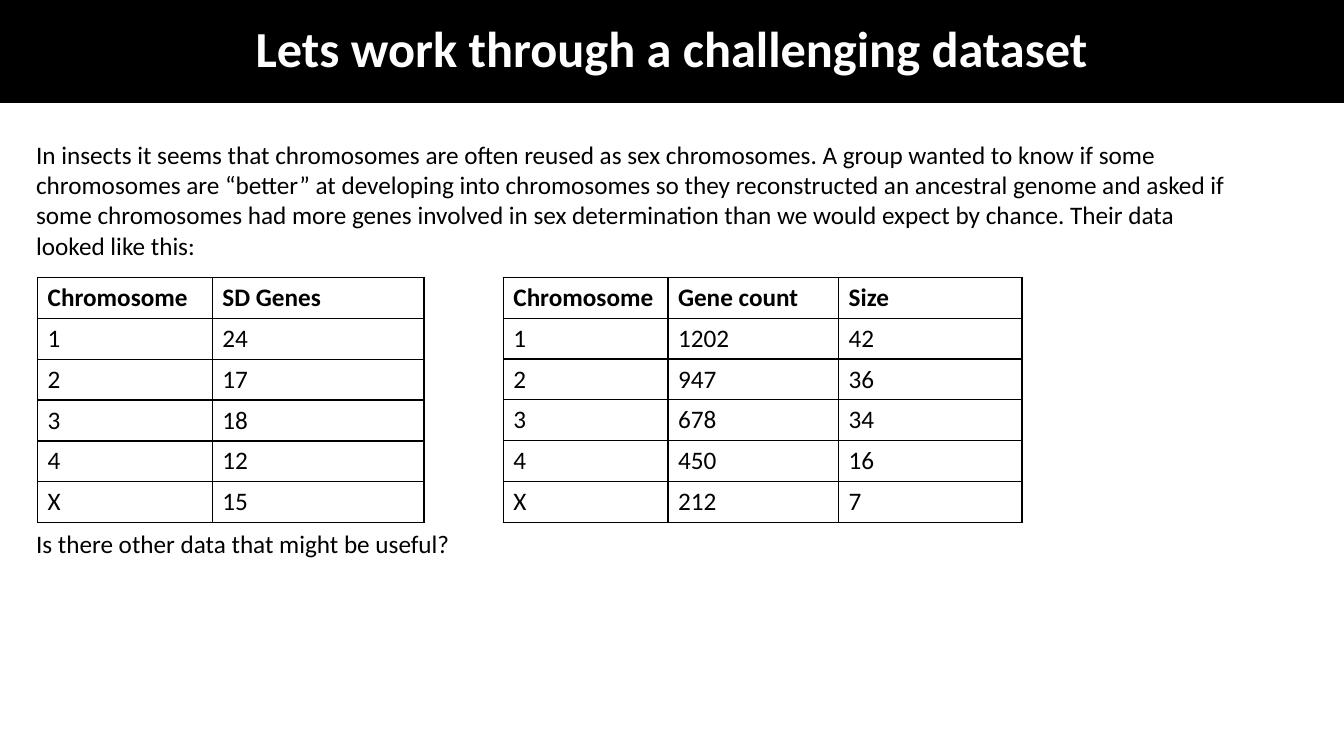
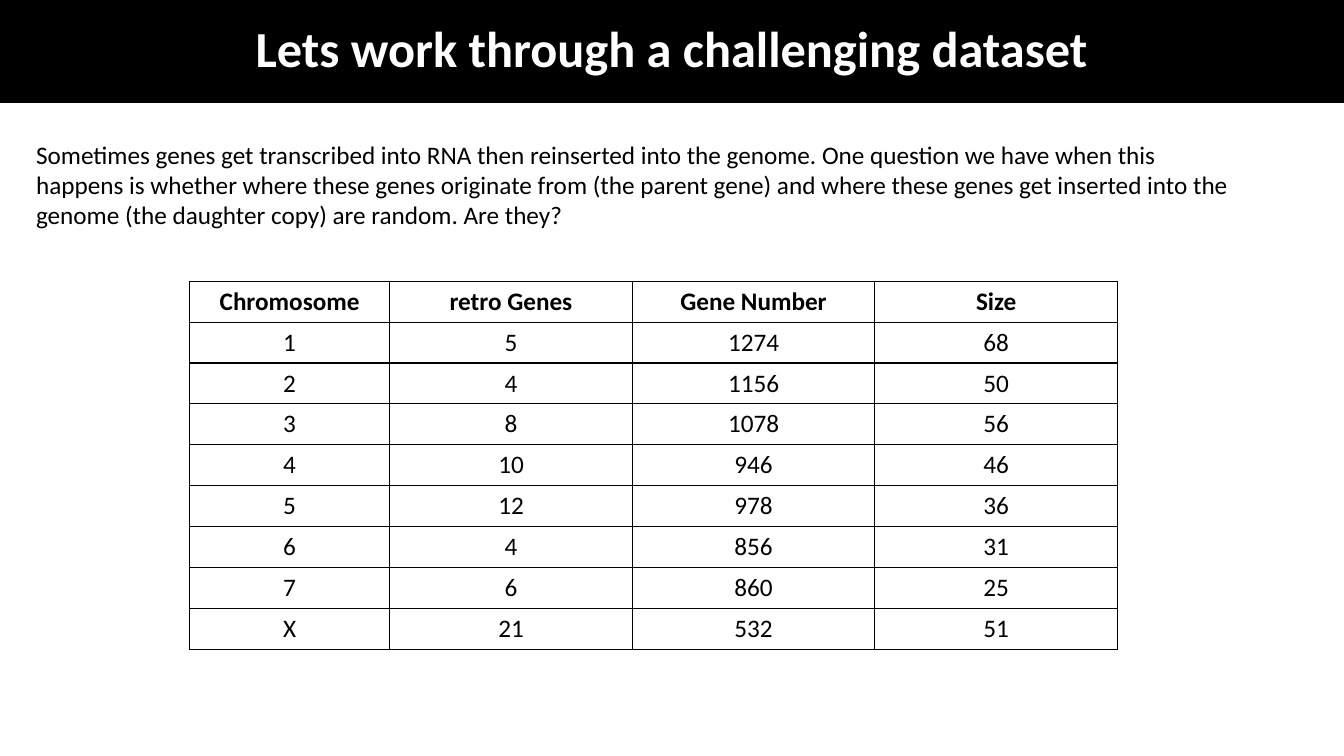
from lxml.etree import SubElement
from pptx import Presentation
from pptx.dml.color import RGBColor
from pptx.enum.text import MSO_ANCHOR, MSO_AUTO_SIZE, PP_ALIGN
from pptx.oxml.ns import qn
from pptx.util import Inches, Pt

COLORS = {"band": "000000", "title": "FFFFFF", "text": "000000", "border": "000000"}
FONT = "Calibri"
TITLE = "Lets work through a challenging dataset"

# Shares of the slide's size, in percent
BAND_HEIGHT = 13.6
TEXT_LEFT, TEXT_WIDTH, INTRO_TOP = 1.95, 90.75, 17.75
ROW_HEIGHT = 5.4


class Deck:
    """Holds the style and the current slide; all lengths are percent of the slide."""

    def __init__(self):
        self.prs = Presentation()
        self.prs.slide_width, self.prs.slide_height = Inches(13.33), Inches(7.5)
        self.s = None

    def x(self, share):
        return round(self.prs.slide_width * share / 100)

    def y(self, share):
        return round(self.prs.slide_height * share / 100)

    def box(self, left, top, width, height):
        return self.x(left), self.y(top), self.x(width), self.y(height)

    def style(self, p, size=18, color="text", bold=False, align=PP_ALIGN.LEFT):
        p.alignment = align
        p.font.name, p.font.size, p.font.bold = FONT, Pt(size), bold
        p.font.color.rgb = RGBColor.from_string(COLORS[color])

    def slide(self, title):
        self.s = self.prs.slides.add_slide(self.prs.slide_layouts[5])
        sp = self.s.shapes.title
        sp.left, sp.top, sp.width, sp.height = self.box(0, 0, 100, BAND_HEIGHT)
        sp.fill.solid()
        sp.fill.fore_color.rgb = RGBColor.from_string(COLORS["band"])
        tf = sp.text_frame
        tf.text = title
        tf.vertical_anchor = MSO_ANCHOR.MIDDLE
        p = tf.paragraphs[0]
        p.line_spacing = 0.9
        self.style(p, 36, "title", True, PP_ALIGN.CENTER)

    def text(self, top, height, words):
        sp = self.s.shapes.add_textbox(*self.box(TEXT_LEFT, top, TEXT_WIDTH, height))
        tf = sp.text_frame
        tf.word_wrap = True
        tf.auto_size = MSO_AUTO_SIZE.SHAPE_TO_FIT_TEXT
        tf.text = words
        self.style(tf.paragraphs[0])

    def border(self, cell):
        tc_pr = cell._tc.get_or_add_tcPr()
        for side in ("a:lnL", "a:lnR", "a:lnT", "a:lnB"):
            line = SubElement(tc_pr, qn(side), w=str(Pt(1)))
            fill = SubElement(line, qn("a:solidFill"))
            SubElement(fill, qn("a:srgbClr"), val=COLORS["border"])

    def table(self, left, top, widths, rows, align=PP_ALIGN.LEFT):
        frame = self.s.shapes.add_table(
            len(rows), len(widths),
            *self.box(left, top, sum(widths), ROW_HEIGHT * len(rows)))
        table = frame.table
        table.first_row = table.horz_banding = False
        for column, width in zip(table.columns, widths):
            column.width = self.x(width)
        for i, row in enumerate(rows):
            table.rows[i].height = self.y(ROW_HEIGHT)
            for j, value in enumerate(row):
                cell = table.cell(i, j)
                cell.text = str(value)
                self.border(cell)
                cell.fill.background()
                self.style(cell.text_frame.paragraphs[0], bold=i == 0, align=align)


def main():
    deck = Deck()

    deck.slide(TITLE)
    deck.table(2.8, 36.7, [13, 15.75], [
        ("Chromosome", "SD Genes"),
        (1, 24), (2, 17), (3, 18), (4, 12), ("X", 15),
    ])
    deck.text(INTRO_TOP, 17.5, (
        "In insects it seems that chromosomes are often reused as sex chromosomes. "
        "A group wanted to know if some chromosomes are “better” at developing into "
        "chromosomes so they reconstructed an ancestral genome and asked if some "
        "chromosomes had more genes involved in sex determination than we would "
        "expect by chance. Their data looked like this:"))
    deck.text(69.2, 5.4, "Is there other data that might be useful?")
    deck.table(37.45, 36.7, [12.25, 12.7, 13.65], [
        ("Chromosome", "Gene count", "Size"),
        (1, 1202, 42), (2, 947, 36), (3, 678, 34), (4, 450, 16), ("X", 212, 7),
    ])

    deck.slide(TITLE)
    deck.table(14.1, 37.2, [14.9] + [18.05] * 3, [
        ("Chromosome", "retro Genes", "Gene Number", "Size"),
        (1, 5, 1274, 68), (2, 4, 1156, 50), (3, 8, 1078, 56), (4, 10, 946, 46),
        (5, 12, 978, 36), (6, 4, 856, 31), (7, 6, 860, 25), ("X", 21, 532, 51),
    ], PP_ALIGN.CENTER)
    deck.text(INTRO_TOP, 13.5, (
        "Sometimes genes get transcribed into RNA then reinserted into the genome. "
        "One question we have when this happens is whether where these genes "
        "originate from (the parent gene) and where these genes get inserted into "
        "the genome (the daughter copy) are random. Are they?"))

    deck.prs.save("out.pptx")


if __name__ == "__main__":
    main()
